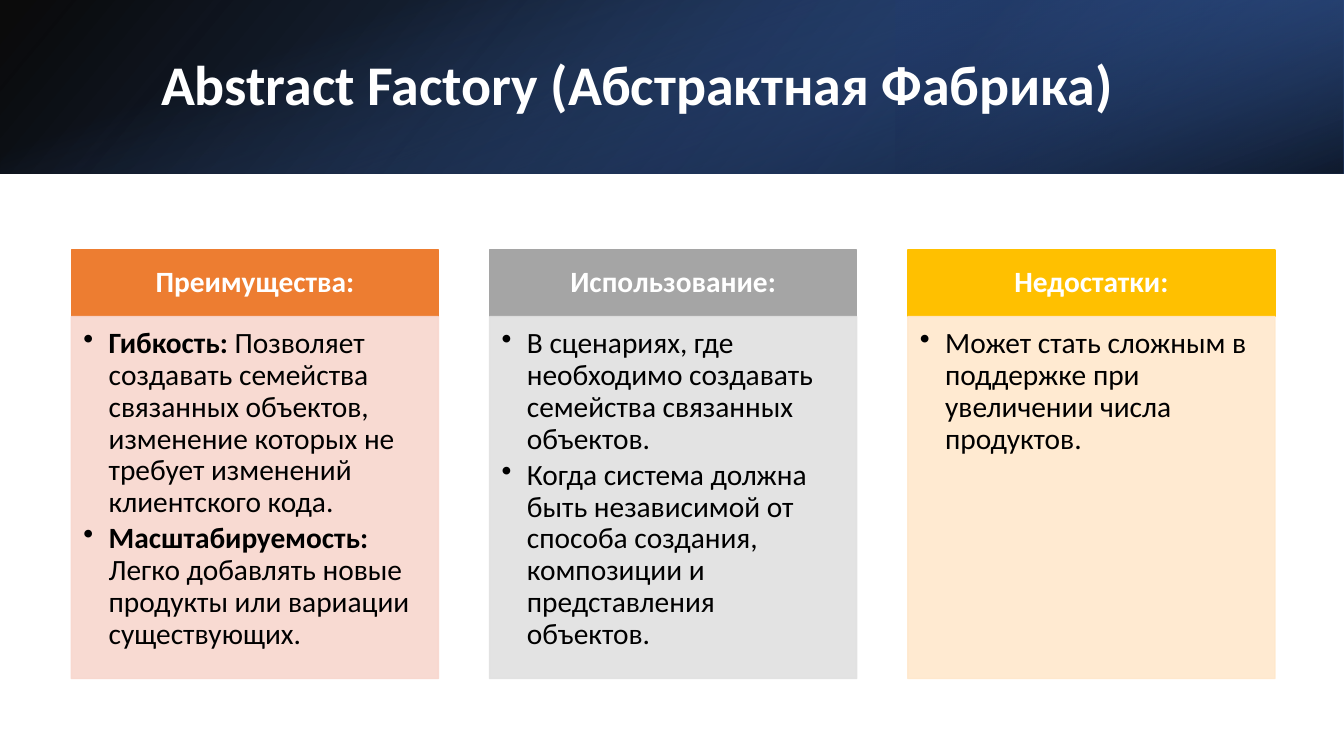
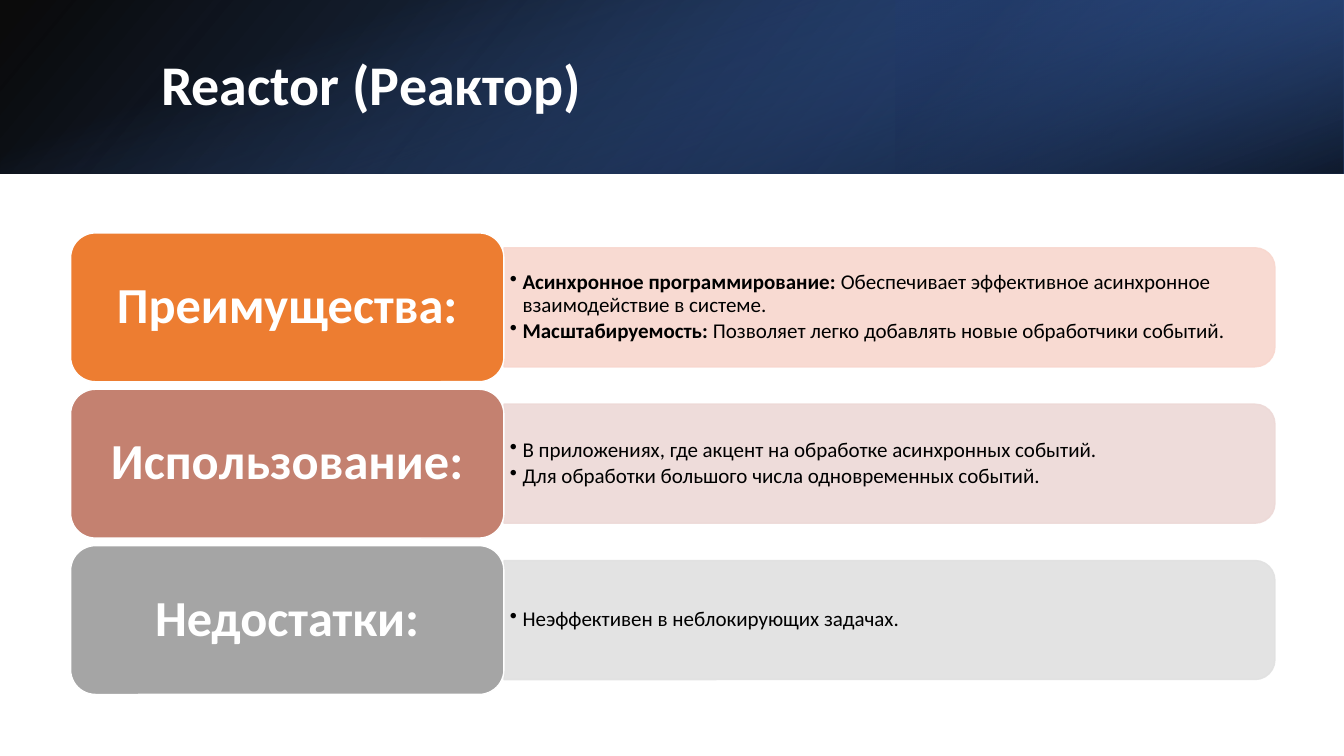
import lxml.etree
import pptx
import pptx.dml.color
import pptx.enum.shapes
import pptx.enum.text
import pptx.oxml.ns
import pptx.util

Cm = pptx.util.Cm
Pt = pptx.util.Pt
RGBColor = pptx.dml.color.RGBColor
SHAPE = pptx.enum.shapes.MSO_SHAPE
ANCHOR = pptx.enum.text.MSO_ANCHOR
ALIGN = pptx.enum.text.PP_ALIGN
qn = pptx.oxml.ns.qn

FONT = "Calibri"
WHITE = RGBColor(0xFF, 0xFF, 0xFF)
BLACK = RGBColor(0x00, 0x00, 0x00)
NAVY = RGBColor(0x20, 0x38, 0x64)
DARK_BLUE = RGBColor(0x2F, 0x55, 0x97)
BLUE = RGBColor(0x44, 0x72, 0xC4)
ORANGE = RGBColor(0xED, 0x7D, 0x31)
PALE_ORANGE = RGBColor(0xF8, 0xD7, 0xCE)
ROSE = RGBColor(0xC4, 0x81, 0x70)
PALE_ROSE = RGBColor(0xED, 0xD9, 0xD7)
GRAY = RGBColor(0xA5, 0xA5, 0xA5)
PALE_GRAY = RGBColor(0xE1, 0xE1, 0xE1)
GOLD = RGBColor(0xFF, 0xC0, 0x00)
PALE_GOLD = RGBColor(0xFF, 0xE8, 0xCC)

SLIDE_WIDTH, SLIDE_HEIGHT = 33.87, 19.05
BAND_HEIGHT = 4.37
PALE_OPACITY = 90

# left, width, rotation, flipped, angle, stops as (position, colour, opacity)
BANDS = [
    (0, SLIDE_WIDTH, 0, True, 140, [(0, BLACK, 96), (100, DARK_BLUE, 100)]),
    (22.58, 11.29, 180, True, 320, [(19, NAVY, 68), (100, BLUE, 79)]),
    (0, SLIDE_WIDTH, 90, False, 340, [(23, BLUE, 0), (99, BLACK, 74)]),
]

FACTORY_TITLE = "Abstract Factory (Абстрактная Фабрика)"
FACTORY_COLUMNS = [
    ("Преимущества:", ORANGE, PALE_ORANGE, [
        ("Гибкость:", " Позволяет создавать семейства связанных объектов, "
         "изменение которых не требует изменений клиентского кода."),
        ("Масштабируемость:", " Легко добавлять новые продукты или вариации существующих."),
    ]),
    ("Использование:", GRAY, PALE_GRAY, [
        ("", "В сценариях, где необходимо создавать семейства связанных объектов."),
        ("", "Когда система должна быть независимой от способа создания, "
         "композиции и представления объектов."),
    ]),
    ("Недостатки:", GOLD, PALE_GOLD, [
        ("", "Может стать сложным в поддержке при увеличении числа продуктов."),
    ]),
]

REACTOR_TITLE = "Reactor (Реактор)"
REACTOR_ROWS = [
    ("Преимущества:", ORANGE, PALE_ORANGE, [
        ("Асинхронное программирование:",
         " Обеспечивает эффективное асинхронное взаимодействие в системе."),
        ("Масштабируемость:", " Позволяет легко добавлять новые обработчики событий."),
    ]),
    ("Использование:", ROSE, PALE_ROSE, [
        ("", "В приложениях, где акцент на обработке асинхронных событий."),
        ("", "Для обработки большого числа одновременных событий."),
    ]),
    ("Недостатки:", GRAY, PALE_GRAY, [
        ("", "Неэффективен в неблокирующих задачах."),
    ]),
]


def add_box(slide, kind, left, top, width, height, rotation=0):
    if rotation == 90:
        left, top = left + (width - height) / 2, top + (height - width) / 2
        width, height = height, width
    shape = slide.shapes.add_shape(kind, Cm(left), Cm(top), Cm(width), Cm(height))
    shape.rotation = rotation
    shape.shadow.inherit = False
    return shape


def paint(shape, fill, line, opacity=100):
    shape.fill.solid()
    shape.fill.fore_color.rgb = fill
    shape.line.color.rgb = line
    shape.line.width = Pt(1)
    if opacity < 100:
        for color in shape._element.spPr.iter(qn("a:srgbClr")):
            lxml.etree.SubElement(color, qn("a:alpha"), val=str(opacity * 1000))


def paint_gradient(shape, angle, stops):
    gradient = lxml.etree.Element(qn("a:gradFill"), rotWithShape="1")
    stop_list = lxml.etree.SubElement(gradient, qn("a:gsLst"))
    for position, color, opacity in stops:
        stop = lxml.etree.SubElement(stop_list, qn("a:gs"), pos=str(position * 1000))
        value = lxml.etree.SubElement(stop, qn("a:srgbClr"), val=str(color))
        lxml.etree.SubElement(value, qn("a:alpha"), val=str(opacity * 1000))
    lxml.etree.SubElement(gradient, qn("a:lin"), ang=str(angle * 60000), scaled="0")
    shape._element.spPr.find(qn("a:prstGeom")).addnext(gradient)
    shape.line.fill.background()


def prepare_frame(shape, anchor, left, top, right, bottom):
    frame = shape.text_frame
    frame.word_wrap = True
    frame.auto_size = pptx.enum.text.MSO_AUTO_SIZE.NONE
    frame.vertical_anchor = anchor
    frame.margin_left, frame.margin_top = Cm(left), Cm(top)
    frame.margin_right, frame.margin_bottom = Cm(right), Cm(bottom)
    return frame


def format_run(run, size, color, bold):
    run.font.name = FONT
    run.font.size = Pt(size)
    run.font.color.rgb = color
    run.font.bold = bold


def write_heading(frame, text, size, align):
    frame.text = text
    paragraph = frame.paragraphs[0]
    paragraph.alignment = align
    paragraph.line_spacing = 0.9
    format_run(paragraph.runs[0], size, WHITE, True)


def write_bullets(frame, items, size, indent):
    for index, (lead, text) in enumerate(items):
        paragraph = frame.add_paragraph() if index else frame.paragraphs[0]
        paragraph.alignment = ALIGN.LEFT
        paragraph.line_spacing = 0.9
        paragraph.space_after = Pt(size * 0.15)
        properties = paragraph._p.get_or_add_pPr()
        properties.set("marL", str(Cm(indent)))
        properties.set("indent", str(-Cm(indent)))
        lxml.etree.SubElement(properties, qn("a:buChar"), char="•")
        for content, bold in ((lead, True), (text, False)):
            if content:
                run = paragraph.add_run()
                run.text = content
                format_run(run, size, BLACK, bold)


def add_titled_slide(presentation, title_text):
    slide = presentation.slides.add_slide(presentation.slide_layouts[5])
    for left, width, rotation, flipped, angle, stops in BANDS:
        band = add_box(slide, SHAPE.RECTANGLE, left, 0, width, BAND_HEIGHT, rotation)
        if flipped:
            band._element.spPr.find(qn("a:xfrm")).set("flipH", "1")
        paint_gradient(band, angle, stops)
    title = slide.shapes.title
    title.left, title.top, title.width, title.height = Cm(3.81), Cm(0.97), Cm(27.89), Cm(2.44)
    frame = prepare_frame(title, ANCHOR.MIDDLE, 0.25, 0.13, 0.25, 0.13)
    write_heading(frame, title_text, 40, ALIGN.LEFT)
    slide.shapes._spTree.append(title._element)
    return slide


def add_columns(slide, columns):
    left, top, width, pitch = 1.8, 6.3, 9.25, 10.54
    heading_height, body_height = 1.68, 9.12
    for index, (heading, color, pale, items) in enumerate(columns):
        x = left + index * pitch
        header = add_box(slide, SHAPE.RECTANGLE, x, top, width, heading_height)
        paint(header, color, color)
        frame = prepare_frame(header, ANCHOR.MIDDLE, 0.41, 0.23, 0.41, 0.23)
        write_heading(frame, heading, 21, ALIGN.CENTER)
        body = add_box(slide, SHAPE.RECTANGLE, x, top + heading_height, width, body_height)
        paint(body, pale, pale, PALE_OPACITY)
        frame = prepare_frame(body, ANCHOR.TOP, 0.3, 0.3, 0.41, 0.46)
        write_bullets(frame, items, 21, 0.64)


def add_rows(slide, rows):
    left, top, pitch = 1.78, 5.87, 3.94
    label_width, label_height = 10.92, 3.75
    bar_width, bar_height = 19.43, 3
    text_width, text_height = 19.29, 2.72
    bar_left = left + label_width
    for index, (heading, color, pale, items) in enumerate(rows):
        y = top + index * pitch
        middle = y + label_height / 2
        bar = add_box(slide, SHAPE.ROUND_2_SAME_RECTANGLE, bar_left, middle - bar_height / 2,
                      bar_width, bar_height, 90)
        paint(bar, pale, pale, PALE_OPACITY)
        details = slide.shapes.add_textbox(Cm(bar_left), Cm(middle - text_height / 2),
                                           Cm(text_width), Cm(text_height))
        frame = prepare_frame(details, ANCHOR.MIDDLE, 0.15, 0.08, 0.15, 0.08)
        write_bullets(frame, items, 15, 0.32)
        label = add_box(slide, SHAPE.ROUNDED_RECTANGLE, left, y, label_width, label_height)
        paint(label, color, WHITE)
        frame = prepare_frame(label, ANCHOR.MIDDLE, 0.38, 0.18, 0.38, 0.18)
        write_heading(frame, heading, 36, ALIGN.CENTER)


def main():
    presentation = pptx.Presentation()
    presentation.slide_width = Cm(SLIDE_WIDTH)
    presentation.slide_height = Cm(SLIDE_HEIGHT)
    add_columns(add_titled_slide(presentation, FACTORY_TITLE), FACTORY_COLUMNS)
    add_rows(add_titled_slide(presentation, REACTOR_TITLE), REACTOR_ROWS)
    presentation.save("out.pptx")


if __name__ == "__main__":
    main()
